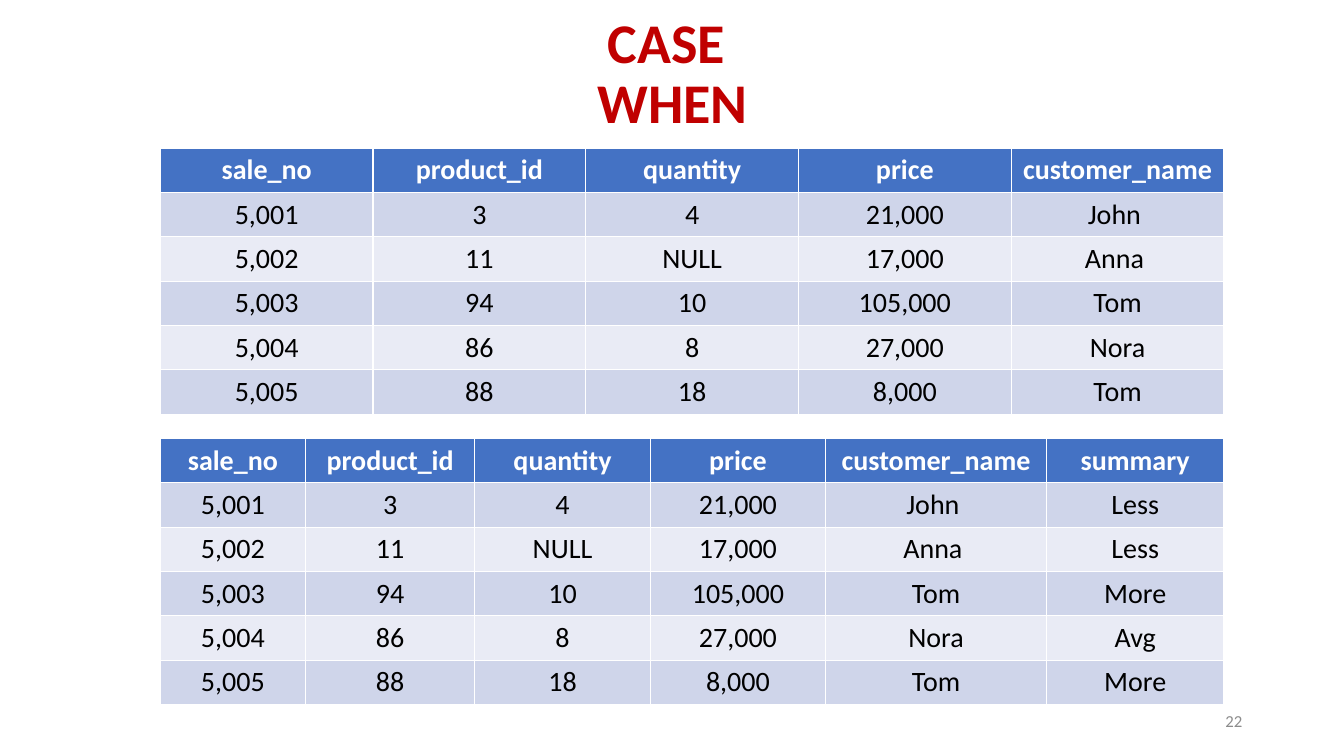
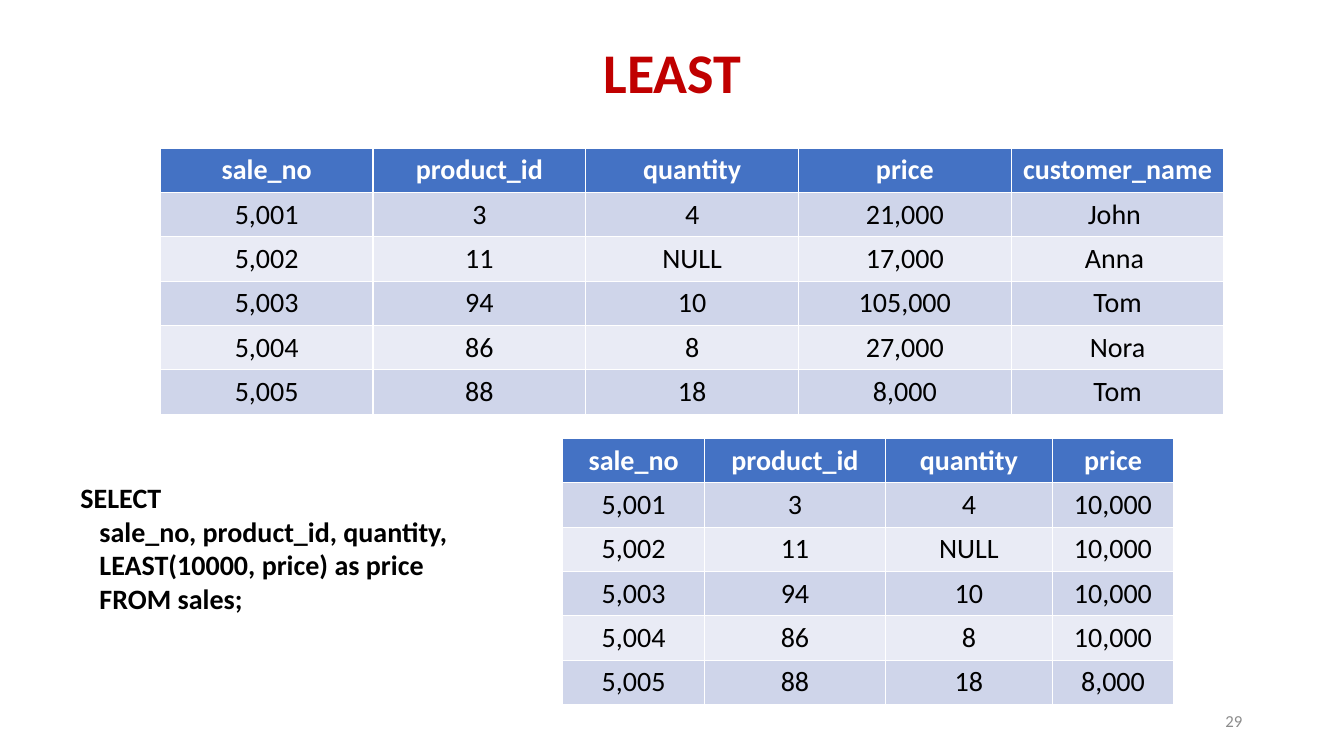
from pptx import Presentation
from pptx.dml.color import RGBColor
from pptx.enum.text import MSO_ANCHOR, PP_ALIGN
from pptx.util import Pt

PX = 9144  # 100 px to the inch
RED = RGBColor(0xC0, 0x00, 0x00)
GREY = RGBColor(0x8C, 0x8C, 0x8C)
BLACK = RGBColor(0x00, 0x00, 0x00)
WHITE = RGBColor(0xFF, 0xFF, 0xFF)
BLUE = RGBColor(0x44, 0x72, 0xC4)
BANDS = [RGBColor(0xE9, 0xEB, 0xF5), RGBColor(0xCF, 0xD5, 0xEA)]
FONT = "Calibri"
CENTER, RIGHT, JUST = PP_ALIGN.CENTER, PP_ALIGN.RIGHT, PP_ALIGN.JUSTIFY
TOP, MIDDLE = MSO_ANCHOR.TOP, MSO_ANCHOR.MIDDLE
ROW = 44

# Sales data and the tables drawn from it
HEAD = ["sale_no", "product_id", "quantity", "price", "customer_name"]
SALES = [
    ["5,001", "3", "4", "21,000", "John "],
    ["5,002", "11", "NULL", "17,000", "Anna "],
    ["5,003", "94", "10", "105,000", "Tom"],
    ["5,004", "86", "8", "27,000", "Nora"],
    ["5,005", "88", "18", "8,000", "Tom"],
]
SUMS = ["Less", "Less", "More", "Avg", "More"]
LEAST = ["10,000", "10,000", "10,000", "10,000", "8,000"]
base = [HEAD] + SALES
cases = [HEAD + ["summary"]] + [row + [word] for row, word in zip(SALES, SUMS)]
least = [HEAD[:4]] + [row[:3] + [low] for row, low in zip(SALES, LEAST)]

QUERY = """SELECT 
   sale_no, product_id, quantity, 
   LEAST(10000, price) as price 
   FROM sales;"""

# Title, page number, left edge and column widths of the lower table, its rows
SLIDES = [
    ("CASE \vWHEN", "22", 159, [144, 168, 174, 174, 219, 176], cases),
    ("LEAST", "29", 558, [141, 179, 166, 120], least),
]


def write(frame, text, size, color, bold, align, anchor=TOP):
    frame.word_wrap = True
    frame.vertical_anchor = anchor
    frame.text = text
    for par in frame.paragraphs:
        par.alignment = align
        font = par.font
        font.name, font.size, font.bold = FONT, Pt(size), bold
        font.color.rgb = color


def add_grid(slide, left, top, widths, rows):
    grid = slide.shapes.add_table(
        len(rows), len(widths), left * PX, top * PX,
        sum(widths) * PX, len(rows) * ROW * PX).table
    for col, width in zip(grid.columns, widths):
        col.width = width * PX
    for r, row in enumerate(rows):
        for c, text in enumerate(row):
            cell = grid.cell(r, c)
            cell.fill.solid()
            cell.fill.fore_color.rgb = BANDS[r % 2] if r else BLUE
            write(cell.text_frame, text, 20, BLACK if r else WHITE, r == 0, CENTER)


prs = Presentation()
prs.slide_width, prs.slide_height = 1333 * PX, 750 * PX

for title, page, left, widths, rows in SLIDES:
    slide = prs.slides.add_slide(prs.slide_layouts[6])

    # Title and page number
    head = slide.shapes.add_textbox(92 * PX, 2 * PX, 1150 * PX, 145 * PX).text_frame
    write(head, title, 40, RED, True, CENTER, MIDDLE)
    head.paragraphs[0].line_spacing = 0.9
    foot = slide.shapes.add_textbox(942 * PX, 695 * PX, 300 * PX, 40 * PX).text_frame
    write(foot, page, 12, GREY, False, RIGHT, MIDDLE)

    # Sales above, result below
    add_grid(slide, 159, 147, [211] * 5, base)
    add_grid(slide, left, 435, widths, rows)

# Query beside the last result
code = slide.shapes.add_textbox(70 * PX, 472 * PX, 667 * PX, 145 * PX).text_frame
write(code, QUERY, 20, BLACK, True, JUST)

prs.save("out.pptx")
